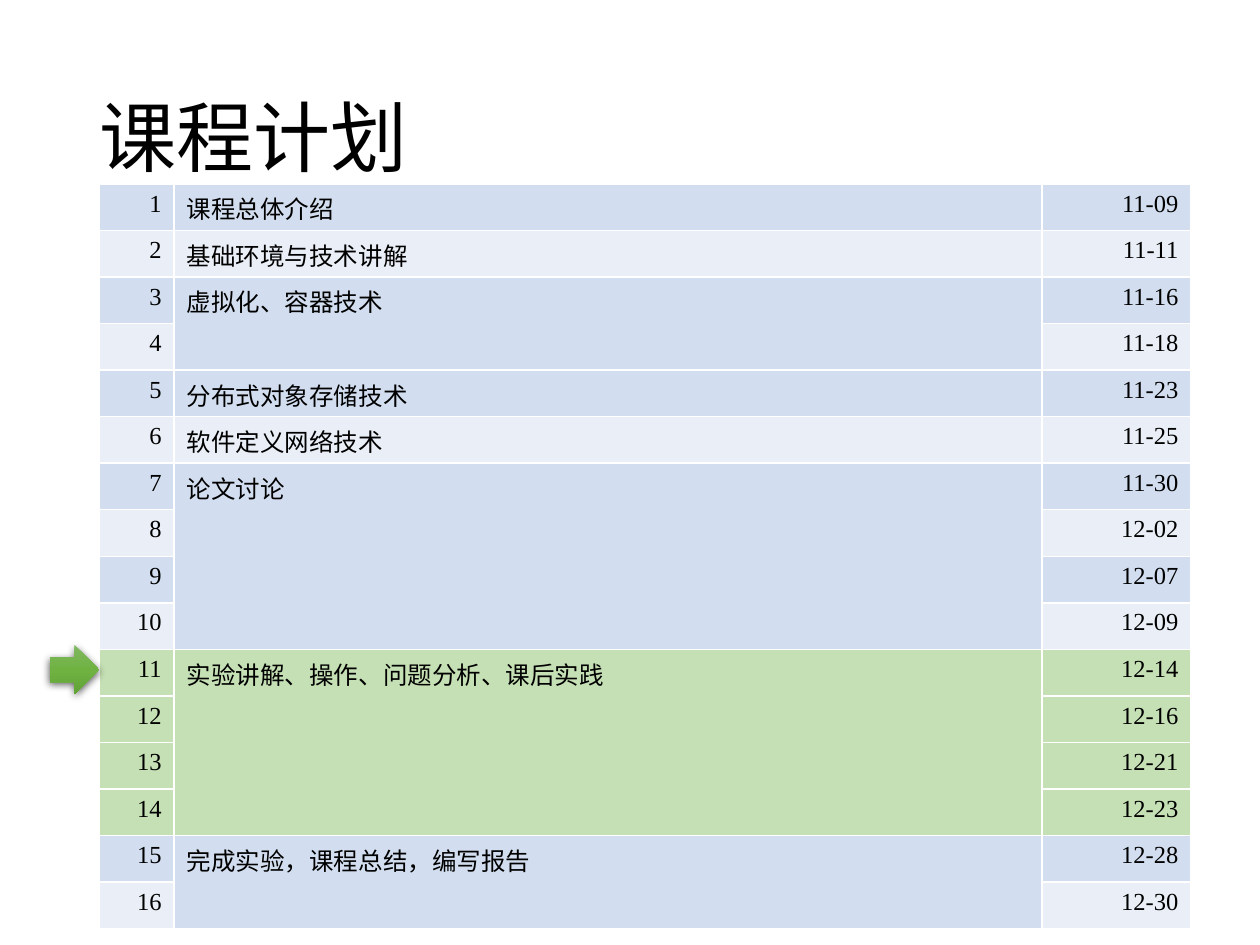
from lxml import etree
from pptx import Presentation
from pptx.dml.color import RGBColor
from pptx.enum.shapes import MSO_SHAPE
from pptx.enum.text import MSO_ANCHOR, PP_ALIGN
from pptx.util import Cm, Pt

LEFT, RIGHT = PP_ALIGN.LEFT, PP_ALIGN.RIGHT
MIDDLE = MSO_ANCHOR.MIDDLE
RIGHT_ARROW = MSO_SHAPE.RIGHT_ARROW
FONT = "Times New Roman"
NS = "http://schemas.openxmlformats.org/drawingml/2006/main"
COLORS = {
    "text": "000000",
    "odd": "D2DEEF",
    "even": "EAEFF7",
    "current": "C5E0B4",
    "arrow_top": "81B861",
    "arrow_mid": "6FB242",
    "arrow_bottom": "62A336",
}
TOPICS = [
    ("课程总体介绍", ["11-09"]),
    ("基础环境与技术讲解", ["11-11"]),
    ("虚拟化、容器技术", ["11-16", "11-18"]),
    ("分布式对象存储技术", ["11-23"]),
    ("软件定义网络技术", ["11-25"]),
    ("论文讨论", ["11-30", "12-02", "12-07", "12-09"]),
    ("实验讲解、操作、问题分析、课后实践", ["12-14", "12-16", "12-21", "12-23"]),
    ("完成实验，课程总结，编写报告", ["12-28", "12-30"]),
]
CURRENT = 6


def write(tf, text, size=14, align=LEFT, spacing=None):
    p = tf.paragraphs[0]
    p.alignment = align
    p.line_spacing = spacing
    r = p.add_run()
    r.text = text
    r.font.size = Pt(size)
    r.font.name = FONT
    r.font.color.rgb = RGBColor.from_string(COLORS["text"])


def add_title(s, x, y, w, h):
    tf = s.shapes.add_textbox(Cm(x), Cm(y), Cm(w), Cm(h)).text_frame
    tf.word_wrap = True
    tf.vertical_anchor = MIDDLE
    write(tf, "课程计划", size=44, spacing=0.9)


def fill_cell(cell, color, text="", align=LEFT):
    cell.fill.solid()
    cell.fill.fore_color.rgb = RGBColor.from_string(COLORS[color])
    if text:
        write(cell.text_frame, text, align=align)


def add_schedule(s, x, y, w, h):
    count = sum(len(dates) for _, dates in TOPICS)
    table = s.shapes.add_table(count, 3, Cm(x), Cm(y), Cm(w), Cm(h)).table
    table.first_row = False
    table.horz_banding = False
    number_w, date_w = 1.5, 3
    for col, width in zip(table.columns, (number_w, w - number_w - date_w, date_w)):
        col.width = Cm(width)
    for row in table.rows:
        row.height = Cm(h / count)
    i = 0
    for k, (topic, dates) in enumerate(TOPICS):
        first = i
        for date in dates:
            color = "current" if k == CURRENT else ("odd", "even")[i % 2]
            fill_cell(table.cell(i, 0), color, str(i + 1), RIGHT)
            fill_cell(table.cell(i, 1), color, topic if i == first else "")
            fill_cell(table.cell(i, 2), color, date, RIGHT)
            i += 1
        if len(dates) > 1:
            table.cell(first, 1).merge(table.cell(i - 1, 1))


def add_marker(s, x, y, w, h):
    sp = s.shapes.add_shape(RIGHT_ARROW, Cm(x), Cm(y), Cm(w), Cm(h))
    sp.line.fill.background()
    stops = "".join(
        f'<a:gs pos="{pos}"><a:srgbClr val="{COLORS[name]}"/></a:gs>'
        for pos, name in ((0, "arrow_top"), (50000, "arrow_mid"), (100000, "arrow_bottom"))
    )
    fill = etree.fromstring(
        f'<a:gradFill xmlns:a="{NS}" rotWithShape="1"><a:gsLst>{stops}</a:gsLst>'
        '<a:lin ang="5400000" scaled="0"/></a:gradFill>'
    )
    shadow = etree.fromstring(
        f'<a:effectLst xmlns:a="{NS}"><a:outerShdw blurRad="{Pt(4.5)}" dist="{Pt(1.5)}" '
        'dir="5400000" algn="ctr" rotWithShape="0"><a:srgbClr val="000000">'
        '<a:alpha val="63000"/></a:srgbClr></a:outerShdw></a:effectLst>'
    )
    props = sp.element.spPr
    props.insert(2, fill)
    props.append(shadow)


def main():
    prs = Presentation()
    prs.slide_width, prs.slide_height = Cm(25.4), Cm(19.05)
    s = prs.slides.add_slide(prs.slide_layouts[6])
    add_title(s, 1.75, 1.02, 21.9, 3.68)
    add_schedule(s, 2.01, 3.71, 22, 15.01)
    add_marker(s, 1, 13, 1, 1)
    prs.save("out.pptx")


if __name__ == "__main__":
    main()
